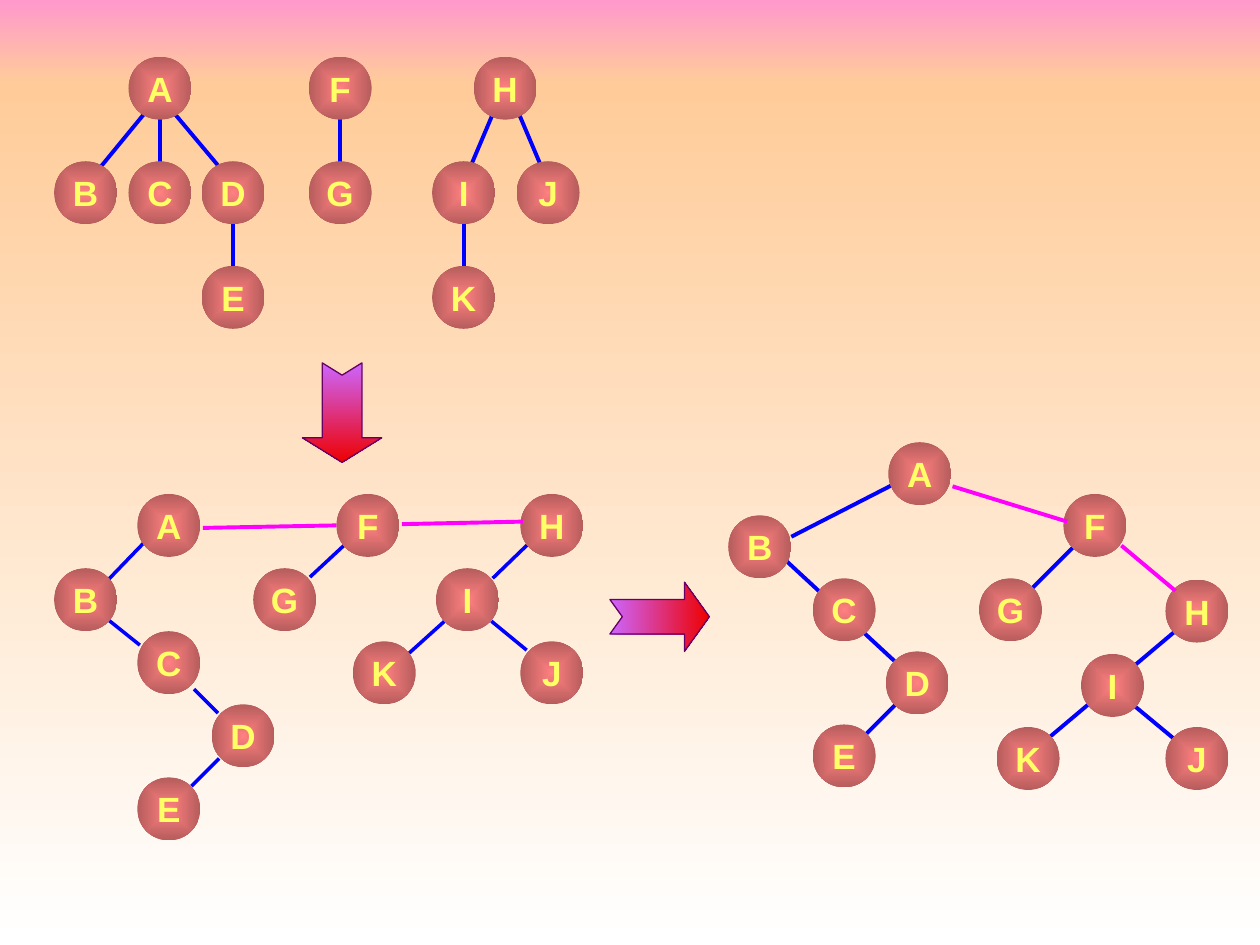
import pptx
import pptx.util
import pptx.dml.color
import pptx.enum.shapes
import pptx.enum.text
import pptx.oxml
import pptx.oxml.ns

RGB = pptx.dml.color.RGBColor
KIND = pptx.enum.shapes.MSO_SHAPE
PINK, PEACH, WHITE = RGB(0xFF, 0x99, 0xCC), RGB(0xFF, 0xCC, 0x99), RGB(0xFF, 0xFF, 0xFF)
LILAC, RED, PLUM = RGB(0xCC, 0x66, 0xFF), RGB(0xEE, 0, 0), RGB(0x66, 0, 0x66)
ROSE, BROWN, YELLOW = RGB(0xFF, 0x80, 0x80), RGB(0xB6, 0x5C, 0x5C), RGB(0xFF, 0xFF, 0x66)
BLUE, MAGENTA = RGB(0, 0, 0xFF), RGB(0xFF, 0, 0xFF)

deck = pptx.Presentation()
deck.slide_width = pptx.util.Inches(10)
deck.slide_height = pptx.util.Inches(7.5)
slide = deck.slides.add_slide(deck.slide_layouts[6])

# A grid of 100 columns by 75 rows
COL = deck.slide_width / 100
ROW = deck.slide_height / 75
SIZE = 5


def add_form(kind, x, y, w, h, start, stop, angle=0):
    form = slide.shapes.add_shape(
        kind, round(x * COL), round(y * ROW), round(w * COL), round(h * ROW))
    form.shadow.inherit = False
    form.line.fill.background()
    form.fill.gradient()
    form.fill.gradient_angle = angle
    for mark, color in zip(form.fill.gradient_stops, (start, stop)):
        mark.color.rgb = color
    return form


def add_line(x1, y1, x2, y2, color, width):
    line = slide.shapes.add_connector(
        pptx.enum.shapes.MSO_CONNECTOR.STRAIGHT,
        round(x1 * COL), round(y1 * ROW), round(x2 * COL), round(y2 * ROW))
    line.line.color.rgb = color
    line.line.width = pptx.util.Pt(width)
    line._element.spPr.append(pptx.oxml.parse_xml(
        "<a:effectLst %s/>" % pptx.oxml.ns.nsdecls("a")))


# Background bands
add_form(KIND.RECTANGLE, 0, 0, 100, 6.7, PINK, PEACH, 270)
add_form(KIND.RECTANGLE, 0, 6.7, 100, 68.3, PEACH, WHITE, 270)

# Step arrows: place, size, turn, head length
for x, y, w, h, turn, head in (
        (48.4, 46.2, 7.9, 5.5, 0, 0.36),
        (23.2, 29.6, 7.9, 6.3, 90, 0.31)):
    arrow = add_form(KIND.NOTCHED_RIGHT_ARROW, x, y, w, h, LILAC, RED)
    arrow.adjustments[0] = 0.5
    arrow.adjustments[1] = head
    arrow.rotation = turn
    arrow.line.color.rgb = PLUM
    arrow.line.width = pptx.util.Pt(0.75)

# Each stage: edge width, edges, nodes
forest = (2.25, (
    (41, 8.6, 43.5, 14.5), (39.3, 8.6, 36.8, 14.5), (13.5, 8.6, 17.7, 13.6),
    (11.8, 8.6, 7.7, 13.6), (36.8, 17, 36.8, 22), (18.5, 17, 18.5, 22),
    (27, 8.6, 27, 13.6), (12.7, 8.6, 12.7, 13.6),
), (
    ("B", 4.3, 12.8), ("C", 10.2, 12.8), ("D", 16, 12.8), ("G", 24.5, 12.8),
    ("I", 34.3, 12.8), ("J", 41, 12.8), ("E", 16, 21.1), ("K", 34.3, 21.1),
    ("A", 10.2, 4.5), ("F", 24.5, 4.5), ("H", 37.6, 4.5),
))
linked = (2, (
    (11.4, 43.1, 8.6, 46), (17.4, 60.2, 15.2, 62.4), (27.4, 43.2, 24.6, 45.8),
    (42, 43.1, 39.1, 45.9), (35.4, 49.2, 32.4, 51.9), (39, 49.3, 41.8, 51.6),
    (8.6, 49.2, 11.1, 51.2), (15.4, 54.7, 17.3, 56.6),
), (
    ("A", 10.9, 39.2), ("B", 4.3, 45.1), ("E", 10.9, 61.7), ("F", 26.7, 39.2),
    ("G", 20.1, 45.1), ("H", 41.3, 39.2), ("I", 34.6, 45.1), ("K", 28, 50.9),
    ("J", 41.3, 50.9), ("C", 10.9, 50.1), ("D", 16.8, 55.9),
))
binary = (2.25, (
    (72, 55, 67.8, 59.2), (61.2, 43.4, 72, 53.4), (70.8, 38.5, 62.8, 42.6),
    (90, 56, 94.1, 59.4), (94.1, 49.4, 83.3, 58.5), (86, 42.6, 81, 47.6),
), (
    ("A", 70.5, 35.1), ("B", 57.8, 40.9), ("D", 70.3, 51.7), ("C", 64.5, 45.9),
    ("E", 64.5, 57.5), ("H", 92.5, 46), ("I", 85.8, 51.9), ("K", 79.1, 57.7),
    ("J", 92.5, 57.7), ("F", 84.4, 39.2), ("G", 77.7, 45.9),
))

for width, edges, nodes in (forest, linked, binary):
    for edge in edges:
        add_line(*edge, BLUE, width)
    for name, x, y in nodes:
        node = add_form(KIND.OVAL, x, y, SIZE, SIZE, ROSE, BROWN)
        lin = node._element.spPr.find(".//" + pptx.oxml.ns.qn("a:lin"))
        lin.getparent().replace(lin, pptx.oxml.parse_xml(
            '<a:path path="shape" %s><a:fillToRect l="50000" t="50000" '
            'r="50000" b="50000"/></a:path>' % pptx.oxml.ns.nsdecls("a")))
        frame = node.text_frame
        frame.word_wrap = False
        frame.vertical_anchor = pptx.enum.text.MSO_ANCHOR.MIDDLE
        para = frame.paragraphs[0]
        para.alignment = pptx.enum.text.PP_ALIGN.CENTER
        run = para.add_run()
        run.text = name
        run.font.name = "Arial"
        run.font.size = pptx.util.Pt(20)
        run.font.bold = True
        run.font.color.rgb = YELLOW

# Links between the tree roots
for link in ((75.6, 38.6, 84.7, 41.4), (89, 43.3, 93.3, 46.9),
             (16.1, 41.9, 26.7, 41.7), (31.9, 41.6, 41.5, 41.4)):
    add_line(*link, MAGENTA, 2.25)

deck.save("out.pptx")
